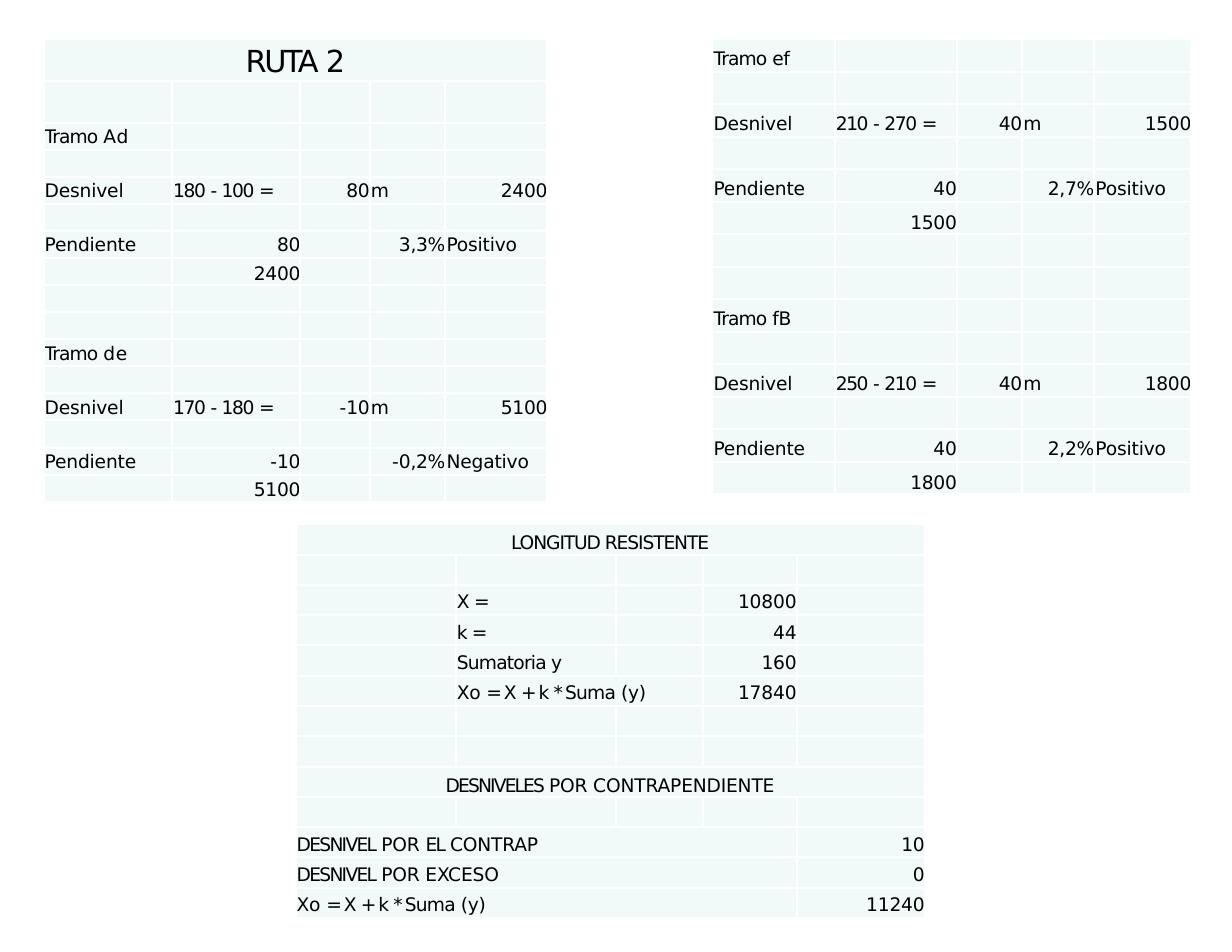
from lxml.etree import SubElement
from pptx import Presentation
from pptx.dml.color import RGBColor
from pptx.enum.text import PP_ALIGN
from pptx.oxml.ns import qn
from pptx.util import Pt

MINT = RGBColor(0xF2, 0xF9, 0xF9)
WHITE = RGBColor(0xFF, 0xFF, 0xFF)
BLACK = RGBColor(0, 0, 0)
FONT = "DejaVu Sans"

FORMULA = "Xo |= |X |+ |k |* |Suma |(y)"
SPACING = {
    "RUTA ": -1.6, "2": -0.5, "0": -0.5, "m": -0.5, "Tramo ": -0.6,
    "Ad": 0.5, "de": 0.4, "-": -1.5, "=": -3.1, "= ": -2.6, "+ ": -2.6,
    "* ": -2.5, "X ": -1, "k ": -1.1, "Suma ": -0.5, "Sumatoria y": -0.5,
    "LONGITUD RESISTENTE": -0.7, "DESNIVELES ": -1.2, "DESNIVEL ": -1.1,
    "EL ": -1.2, "POR ": -0.1, "POR EXCESO": -0.1, "CONTRAP": -0.1,
    "POR CONTRAPENDIENTE": -0.1, "Desnivel": -0.1, "Pendiente": -0.1,
    "Positivo": -0.1, "Negativo": -0.1, "10800": -0.1, "17840": -0.1,
    "11240": -0.1,
}


def run_spacing(text):
    if text.endswith(" ") and text.strip().isdigit():
        return -0.9
    return SPACING.get(text, -0.2)


def style_cell(cell):
    tcPr = cell._tc.get_or_add_tcPr()
    for side in ("lnL", "lnR", "lnT", "lnB"):
        ln = SubElement(tcPr, qn(f"a:{side}"), w=str(Pt(1.5)))
        fill = SubElement(ln, qn("a:solidFill"))
        SubElement(fill, qn("a:srgbClr"), val=str(WHITE))
    cell.fill.solid()
    cell.fill.fore_color.rgb = MINT
    cell.margin_left = cell.margin_right = 0
    cell.margin_top = cell.margin_bottom = 0
    p = cell.text_frame.paragraphs[0]
    SubElement(p._p, qn("a:endParaRPr"), sz="800")


def write_cell(cell, text, inset, size=12, centered=False):
    cell.margin_top = Pt(inset)
    p = cell.text_frame.paragraphs[0]
    if centered:
        p.alignment = PP_ALIGN.CENTER
    elif text[-1].isdigit() or text[-1] == "%":
        p.alignment = PP_ALIGN.RIGHT
    else:
        p.alignment = PP_ALIGN.LEFT
        cell.margin_left = Pt(0.75)
    if size == 12:
        p.line_spacing = Pt(14)
    for part in text.split("|"):
        r = p.add_run()
        r.text = part
        r.font.name = FONT
        r.font.size = Pt(size)
        r.font.color.rgb = BLACK
        r._r.get_or_add_rPr().set("spc", str(round(run_spacing(part) * 100)))


def add_grid(s, left, top, widths, heights):
    shape = s.shapes.add_table(len(heights), len(widths), Pt(left), Pt(top),
                               Pt(sum(widths)), Pt(sum(heights)))
    table = shape.table
    table.first_row = table.horz_banding = False
    for column, width in zip(table.columns, widths):
        column.width = Pt(width)
    for row, height in zip(table.rows, heights):
        row.height = Pt(height)
    for cell in table.iter_cells():
        style_cell(cell)
    return table


def merge_row(table, row, first, last):
    table.cell(row, first).merge(table.cell(row, last))


def write_section(table, row, inset, name, levels, drop, length, slope, sign):
    high, low = levels
    entries = [
        (0, 0, f"Tramo |{name}"),
        (2, 0, "Desnivel"), (2, 1, f"{high} |-| {low} |="),
        (2, 2, drop), (2, 3, "m"), (2, 4, length),
        (4, 0, "Pendiente"), (4, 1, drop), (4, 3, slope), (4, 4, sign),
        (5, 1, length),
    ]
    for offset, col, text in entries:
        extra = 1 if offset == 5 else 0
        write_cell(table.cell(row + offset, col), text, inset + extra)


def write_summary(table):
    for row, text in ((0, "LONGITUD RESISTENTE"),
                      (8, "DESNIVELES |POR CONTRAPENDIENTE")):
        merge_row(table, row, 0, 4)
        write_cell(table.cell(row, 0), text, 5.4, centered=True)
    merge_row(table, 5, 1, 2)
    lengths = [("X |=", "10800"), ("k |=", "44"), ("Sumatoria y", "160"),
               (FORMULA, "17840")]
    for row, (label, value) in enumerate(lengths, 2):
        write_cell(table.cell(row, 1), label, 4.4)
        write_cell(table.cell(row, 3), value, 4.4)
    drops = [("DESNIVEL |POR |EL |CONTRAP", "10"),
             ("DESNIVEL |POR EXCESO", "0"), (FORMULA, "11240")]
    for row, (label, value) in enumerate(drops, 10):
        merge_row(table, row, 0, 3)
        write_cell(table.cell(row, 0), label, 4.4)
        write_cell(table.cell(row, 4), value, 4.4)


def main():
    prs = Presentation()
    prs.slide_width, prs.slide_height = Pt(792), Pt(612)
    s = prs.slides.add_slide(prs.slide_layouts[6])

    route = add_grid(s, 28, 25.2, [82.6, 82.6, 44.6, 48.6, 65.6],
                     [27] * 2 + [17.4] * 14)
    merge_row(route, 0, 0, 4)
    write_cell(route.cell(0, 0), "RUTA |2", 3, 19.5, centered=True)
    write_section(route, 2, 2.2, "Ad", (180, 100), "80", "2400", "3,3%",
                  "Positivo")
    write_section(route, 10, 2.2, "de", (170, 180), "-|10", "5100", "-|0,2%",
                  "Negativo")

    route_end = add_grid(s, 458, 25.2, [78.6, 78.6, 42, 46.4, 62.4],
                         [20.9] * 14)
    write_section(route_end, 0, 5.8, "ef", (210, 270), "40", "1500", "2,7%",
                  "Positivo")
    write_section(route_end, 8, 5.8, "fB", (250, 210), "40", "1800", "2,2%",
                  "Positivo")

    summary = add_grid(s, 190, 337, [103, 103, 56, 60.2, 82.4], [19.5] * 13)
    write_summary(summary)
    prs.save("out.pptx")


if __name__ == "__main__":
    main()
